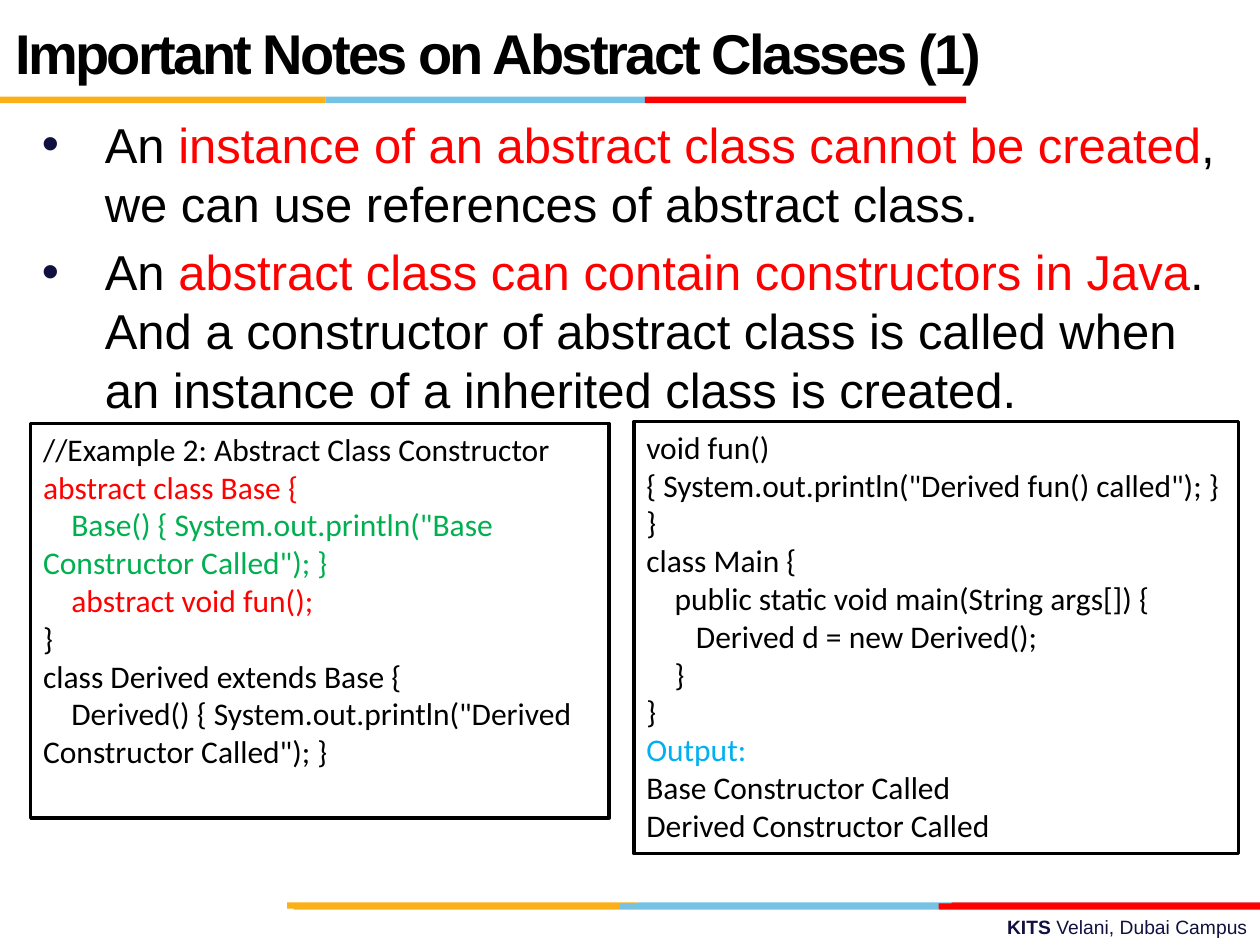
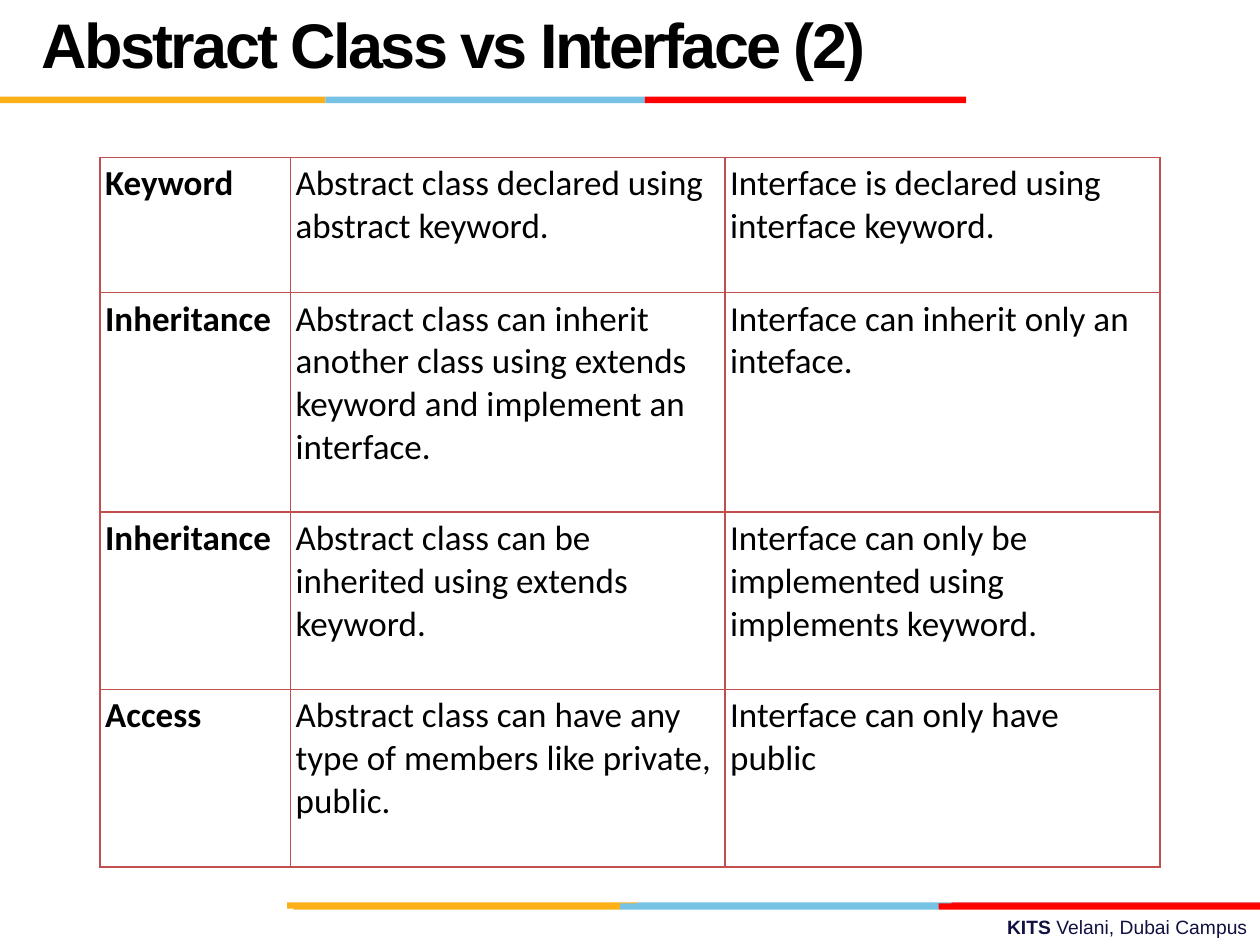
from lxml import etree
from pptx import Presentation
from pptx import util as u
from pptx.dml.color import RGBColor
from pptx.enum import shapes, text
from pptx.oxml.ns import qn

BLACK, WHITE, NAVY = "000000", "FFFFFF", "101141"
RED, GREEN, CYAN = "FF0000", "00B050", "00B0F0"
AMBER, SKY, CRIMSON, BRICK = "FCB017", "76C2E5", "E31C24", "C0504D"


def color(value):
    return RGBColor.from_string(value)


def box(left, top, width, height):
    return [u.Cm(value) for value in (left, top, width, height)]


def place(shape, area):
    shape.left, shape.top, shape.width, shape.height = box(*area)


def add_run(paragraph, words, size, font="Arial", ink=BLACK, bold=False):
    run = paragraph.add_run()
    run.text = words
    run.font.name = font
    run.font.size = u.Pt(size)
    run.font.bold = bold
    run.font.color.rgb = color(ink)
    return run


def paragraphs(frame, count):
    return [frame.paragraphs[0]] + [frame.add_paragraph() for _ in range(count - 1)]


def add_rectangle(slide, area, fill):
    shape = slide.shapes.add_shape(shapes.MSO_SHAPE.RECTANGLE, *box(*area))
    shape.shadow.inherit = False
    shape.fill.solid()
    shape.fill.fore_color.rgb = color(fill)
    shape.line.fill.background()
    return shape


def add_band(slide, top, edges, fills):
    return [
        add_rectangle(slide, (left, top, right - left, 0.13), fill)
        for left, right, fill in zip(edges, edges[1:], fills)
    ]


def add_footer(slide, area):
    footer = slide.shapes.add_textbox(*box(*area))
    footer.text_frame.word_wrap = True
    paragraph = footer.text_frame.paragraphs[0]
    paragraph.alignment = text.PP_ALIGN.RIGHT
    add_run(paragraph, "KITS ", 11, ink=NAVY, bold=True)
    add_run(paragraph, "Velani, Dubai Campus", 11, ink=NAVY)
    return footer


def decorate_layout(layout, slide):
    parts = [
        add_footer(slide, (9.1, 18.32, 16.3, 0.74)),
        *add_band(slide, 18.19, (5.79, 12.85, 19.18, 25.4), (AMBER, SKY, CRIMSON)),
        *add_band(slide, 18.21, (5.92, 12.5, 18.92, 25.4), (AMBER, SKY, RED)),
        *add_band(slide, 1.95, (0, 6.56, 13, 19.48), (AMBER, SKY, RED)),
    ]
    for part in parts:
        layout.shapes.element.append(part.element)


def set_title(slide, area, words, size):
    title = slide.shapes.title
    place(title, area)
    frame = title.text_frame
    frame.auto_size = text.MSO_AUTO_SIZE.NONE
    frame.vertical_anchor = text.MSO_ANCHOR.MIDDLE
    paragraph = frame.paragraphs[0]
    paragraph.alignment = text.PP_ALIGN.LEFT
    paragraph.line_spacing = u.Pt(36)
    run = add_run(paragraph, words, size, bold=True)
    run._r.get_or_add_rPr().set("spc", "-150")


def set_bullet(paragraph, sign, ink):
    properties = paragraph._p.get_or_add_pPr()
    properties.set("marL", str(u.Cm(1.27)))
    properties.set("indent", str(u.Cm(-1.27)))
    tint = etree.SubElement(properties, qn("a:buClr"))
    etree.SubElement(tint, qn("a:srgbClr")).set("val", ink)
    etree.SubElement(properties, qn("a:buFont")).set("typeface", "Arial")
    etree.SubElement(properties, qn("a:buChar")).set("char", sign)


def set_body(slide, area, items):
    body = slide.placeholders[1]
    place(body, area)
    frame = body.text_frame
    frame.auto_size = text.MSO_AUTO_SIZE.NONE
    for paragraph, runs in zip(paragraphs(frame, len(items)), items):
        paragraph.space_before = u.Pt(5.6)
        set_bullet(paragraph, "\u2022", NAVY)
        for words, ink in runs:
            add_run(paragraph, words, 28, ink=ink)


def add_code(slide, area, lines):
    panel = add_rectangle(slide, area, WHITE)
    panel.line.color.rgb = color(BLACK)
    panel.line.width = u.Pt(2)
    frame = panel.text_frame
    frame.word_wrap = True
    frame.vertical_anchor = text.MSO_ANCHOR.TOP
    for paragraph, (words, ink, indent) in zip(paragraphs(frame, len(lines)), lines):
        paragraph.alignment = text.PP_ALIGN.LEFT
        paragraph._p.get_or_add_pPr().set("indent", str(u.Cm(indent)))
        add_run(paragraph, words, 18, "Calibri", ink)


def set_borders(cell, ink, width):
    properties = cell._tc.get_or_add_tcPr()
    for side in ("a:lnL", "a:lnR", "a:lnT", "a:lnB"):
        line = etree.SubElement(properties, qn(side))
        line.set("w", str(u.Pt(width)))
        fill = etree.SubElement(line, qn("a:solidFill"))
        etree.SubElement(fill, qn("a:srgbClr")).set("val", ink)


def add_comparison(slide, area, widths, heights, rows):
    frame = slide.shapes.add_table(len(rows), len(widths), *box(*area))
    table = frame.table
    table.first_row = table.horz_banding = False
    for column, width in zip(table.columns, widths):
        column.width = u.Cm(width)
    for row, height, entries in zip(table.rows, heights, rows):
        row.height = u.Cm(height)
        for index, (cell, words) in enumerate(zip(row.cells, entries)):
            set_borders(cell, BRICK, 1)
            cell.fill.background()
            cell.margin_left = cell.margin_right = u.Cm(0.1)
            cell.margin_top = cell.margin_bottom = u.Cm(0.1)
            add_run(cell.text_frame.paragraphs[0], words, 20, "Calibri", bold=index == 0)


def build_notes(slide):
    set_title(slide, (0.05, 0.48, 20.96, 1.22), "Important Notes on Abstract Classes (1)", 32)
    set_body(slide, (0.59, 2.18, 24.38, 15.85), [
        [("An ", BLACK),
         ("instance of an abstract class cannot be created", RED),
         (", we can use references of abstract class.", BLACK)],
        [("An ", BLACK),
         ("abstract class can contain constructors in Java", RED),
         (". And a constructor of abstract class is called when an instance of a "
          "inherited class is created.", BLACK)],
    ])
    step, deep = 0.57, 1
    add_code(slide, (0.62, 8.54, 11.66, 7.95), [
        ("//Example 2: Abstract Class Constructor", BLACK, 0),
        ("abstract class Base {", RED, 0),
        ('Base() { System.out.println("Base Constructor Called"); }', GREEN, step),
        ("abstract void fun();", RED, step),
        ("}", BLACK, 0),
        ("class Derived extends Base {", BLACK, 0),
        ('Derived() { System.out.println("Derived Constructor Called"); }', BLACK, step),
    ])
    add_code(slide, (12.78, 8.5, 12.19, 8.71), [
        ("void fun()", BLACK, 0),
        ('{ System.out.println("Derived fun() called"); }', BLACK, 0),
        ("}", BLACK, 0),
        ("class Main {", BLACK, 0),
        ("public static void main(String args[]) {", BLACK, step),
        ("Derived d = new Derived();", BLACK, deep),
        ("}", BLACK, step),
        ("}", BLACK, 0),
        ("Output:", CYAN, 0),
        ("Base Constructor Called", BLACK, 0),
        ("Derived Constructor Called", BLACK, 0),
    ])


def build_comparison(slide):
    body = slide.placeholders[1].element
    body.getparent().remove(body)
    add_comparison(
        slide, (2.02, 3.17, 21.36, 14.31), (3.84, 8.76, 8.76), (2.73, 4.42, 3.58, 3.58), [
            ("Keyword", "Abstract class declared using abstract keyword.",
             "Interface is declared using interface keyword."),
            ("Inheritance",
             "Abstract class can inherit another class using extends keyword and "
             "implement an interface.",
             "Interface can inherit only an inteface."),
            ("Inheritance", "Abstract class can be inherited using extends keyword.",
             "Interface can only be implemented using implements keyword."),
            ("Access", "Abstract class can have any type of members like private, public.",
             "Interface can only have public\u00a0"),
        ])
    set_title(slide, (0.58, 0.48, 17.58, 1.02), "Abstract Class vs Interface (2)", 36)


presentation = Presentation()
presentation.slide_width, presentation.slide_height = u.Cm(25.4), u.Cm(19.05)
content_layout = presentation.slide_layouts[1]
for number, build in enumerate((build_notes, build_comparison)):
    slide = presentation.slides.add_slide(content_layout)
    if number == 0:
        decorate_layout(content_layout, slide)
    build(slide)
presentation.save("out.pptx")
